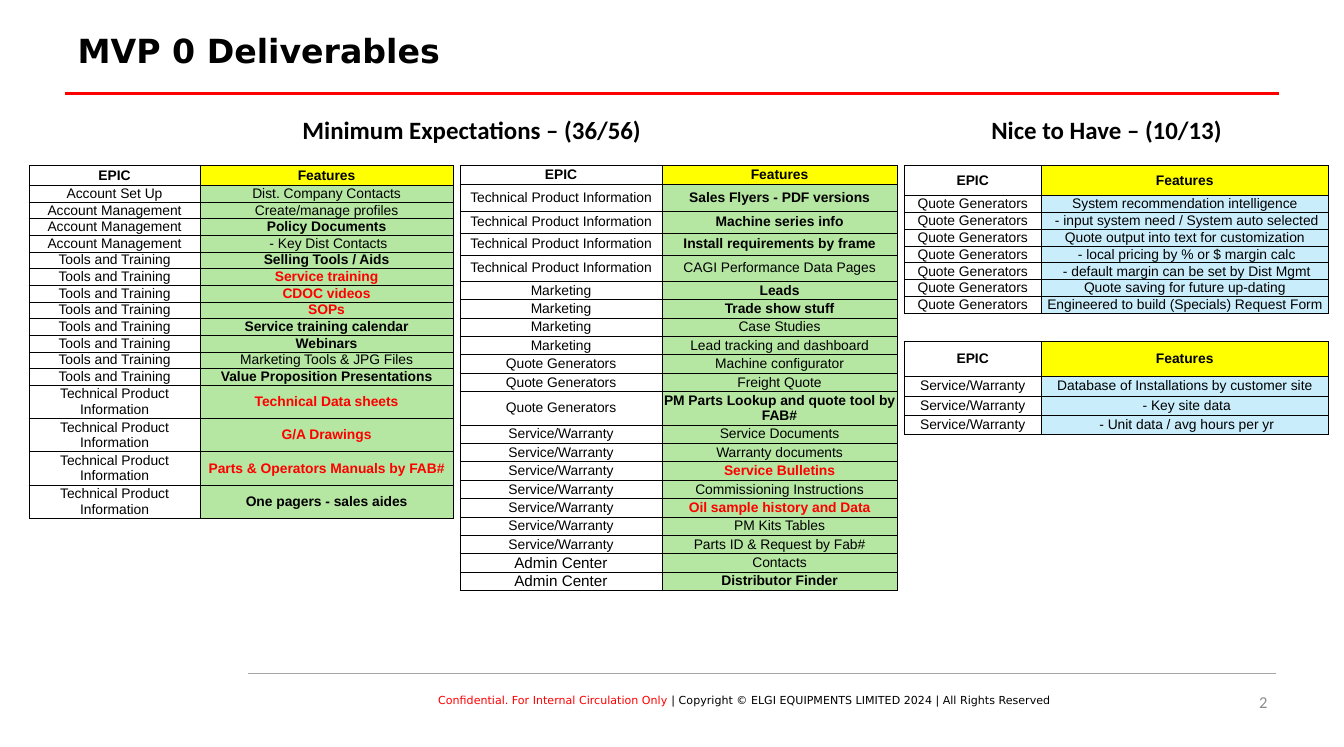
import pptx
import pptx.util
import pptx.dml.color
import pptx.enum.shapes
import pptx.enum.text
import pptx.oxml
import pptx.oxml.ns
import lxml.etree

PX = 4572  # EMU per px, 200 px to the inch
ALIGN = pptx.enum.text.PP_ALIGN
MIDDLE = pptx.enum.text.MSO_ANCHOR.MIDDLE
THEME = {
    "black": "000000", "red": "FF0000", "grey": "A6A6A6", "number": "8C8C8C",
    "yellow": "FFFF00", "green": "B5E6A2", "blue": "CAEDFB",
    "title_font": "DejaVu Sans", "heading_font": "Calibri", "table_font": "Arial",
    "title": 24, "heading": 18, "page": 12, "admin": 11, "table": 10, "footer": 8,
}


def rgb(name):
    return pptx.dml.color.RGBColor.from_string(THEME[name])


def style(r, font, size, color="black", bold=False):
    r.font.name = THEME[font]
    r.font.size = pptx.util.Pt(THEME[size])
    r.font.color.rgb = rgb(color)
    r.font.bold = bold


prs = pptx.Presentation()
prs.slide_width, prs.slide_height = 2700 * PX, 1500 * PX
s = prs.slides.add_slide(prs.slide_layouts[5])

# Title
sp = s.shapes.title
sp.left, sp.top, sp.width, sp.height = 136 * PX, 60 * PX, 2344 * PX, 112 * PX
tf = sp.text_frame
tf.text = "MVP 0 Deliverables"
tf.auto_size = pptx.enum.text.MSO_AUTO_SIZE.NONE
tf.vertical_anchor = pptx.enum.text.MSO_ANCHOR.TOP
p = tf.paragraphs[0]
p.alignment = ALIGN.LEFT
p.line_spacing = 0.9
style(p.runs[0], "title_font", "title", bold=True)

# Rules under the title and above the footer
for x1, x2, y, color, weight in [(130, 2570, 187, "red", 2.25), (498, 2564, 1352, "grey", 0.5)]:
    rule = s.shapes.add_connector(pptx.enum.shapes.MSO_CONNECTOR.STRAIGHT,
                                  x1 * PX, y * PX, x2 * PX, y * PX)
    rule.line.color.rgb = rgb(color)
    rule.line.width = pptx.util.Pt(weight)
    lxml.etree.SubElement(rule._element.spPr, pptx.oxml.ns.qn("a:effectLst"))

# Section headings
for x, width, text in [(588, 726, "Minimum Expectations – (36/56)"),
                       (1972, 508, "Nice to Have – (10/13)")]:
    sp = s.shapes.add_textbox(x * PX, 220 * PX, width * PX, 80 * PX)
    tf = sp.text_frame
    tf.text = text
    tf.word_wrap = False
    style(tf.paragraphs[0].runs[0], "heading_font", "heading", bold=True)

# Features by epic; a leading * is bold, a leading ! is bold red
setup = [
    ("Account Set Up", ["Dist. Company Contacts"]),
    ("Account Management", ["Create/manage profiles", "*Policy Documents", " - Key Dist Contacts"]),
    ("Tools and Training", [
        "*Selling Tools / Aids", "!Service training", "!CDOC videos", "!SOPs",
        "*Service training calendar", "*Webinars", "Marketing Tools & JPG Files",
        "*Value Proposition Presentations"]),
    ("Technical Product Information", [
        "!Technical Data sheets", "!G/A Drawings", "!Parts & Operators Manuals by FAB#",
        "*One pagers - sales aides"]),
]
product = [
    ("Technical Product Information", [
        "*Sales Flyers - PDF versions", "*Machine series info", "*Install requirements by frame",
        "CAGI Performance Data Pages"]),
    ("Marketing", ["*Leads", "*Trade show stuff", "Case Studies", "Lead tracking and dashboard"]),
    ("Quote Generators", [
        "Machine configurator", "Freight Quote", "*PM Parts Lookup and quote tool by FAB#"]),
    ("Service/Warranty", [
        "Service Documents", "Warranty documents", "!Service Bulletins",
        "Commissioning Instructions", "!Oil sample history and Data", "PM Kits Tables",
        "Parts ID & Request by Fab#"]),
    ("Admin Center", ["Contacts", "*Distributor Finder"]),
]
warranty = [
    ("Service/Warranty", [
        "Database of Installations by customer site", " - Key site data",
        " - Unit data / avg hours per yr"]),
]
quotes = [
    ("Quote Generators", [
        "System recommendation intelligence", " - input system need / System auto selected",
        "Quote output into text for customization", " - local pricing by % or $ margin calc",
        " - default margin can be set by Dist Mgmt", "Quote saving for future up-dating",
        "Engineered to build (Specials) Request Form"]),
]

# Tables: left, top, column widths, row heights, feature fill, content
tables = [
    (58, 332, (344, 508), [40] + [24] * 12 + [44] * 4, "green", setup),
    (924, 332, (406, 472), [38, 54, 44, 44, 53] + [37] * 16, "green", product),
    (1816, 686, (276, 576), [70] + [39] * 3, "blue", warranty),
    (1816, 332, (276, 576), [60] + [34] * 7, "blue", quotes),
]
for x, y, widths, heights, fill, groups in tables:
    rows = [("*EPIC", "*Features")]
    rows += [(epic, feature) for epic, features in groups for feature in features]
    table = s.shapes.add_table(len(rows), 2, x * PX, y * PX,
                               sum(widths) * PX, sum(heights) * PX).table
    table.first_row = table.horz_banding = False
    for column, width in zip(table.columns, widths):
        column.width = width * PX
    for i, (row, height) in enumerate(zip(rows, heights)):
        table.rows[i].height = height * PX
        for j, text in enumerate(row):
            cell = table.cell(i, j)
            cell.margin_left = cell.margin_right = cell.margin_top = cell.margin_bottom = 0
            cell.vertical_anchor = MIDDLE
            cell.text = text.lstrip("*!")
            p = cell.text_frame.paragraphs[0]
            p.alignment = ALIGN.CENTER
            style(p.runs[0], "table_font", "admin" if text == "Admin Center" else "table",
                  "red" if text[0] == "!" else "black", text[0] in "*!")
            # Borders go before the fill
            for side in ("lnL", "lnR", "lnT", "lnB"):
                cell._tc.get_or_add_tcPr().append(pptx.oxml.parse_xml(
                    f'<a:{side} {pptx.oxml.ns.nsdecls("a")} w="6350"><a:solidFill>'
                    f'<a:srgbClr val="{THEME["black"]}"/></a:solidFill></a:{side}>'))
            if j == 0:
                cell.fill.background()
            else:
                cell.fill.solid()
                cell.fill.fore_color.rgb = rgb("yellow" if i == 0 else fill)

# Footer
sp = s.shapes.add_textbox(500 * PX, 1392 * PX, 1992 * PX, 54 * PX)
tf = sp.text_frame
tf.word_wrap = True
tf.margin_left = tf.margin_right = tf.margin_top = tf.margin_bottom = 0
p = tf.paragraphs[0]
p.alignment = ALIGN.CENTER
for text, color in [("Conﬁdential. For Internal Circulation Only ", "red"),
                    ("| Copyright © ELGI EQUIPMENTS LIMITED 2024 | All Rights Reserved", "black")]:
    r = p.add_run()
    r.text = text
    style(r, "title_font", "footer", color)

# Page number
sp = s.shapes.add_textbox(1958 * PX, 1370 * PX, 608 * PX, 80 * PX)
tf = sp.text_frame
tf.text = "2"
tf.word_wrap = True
tf.vertical_anchor = MIDDLE
p = tf.paragraphs[0]
p.alignment = ALIGN.RIGHT
style(p.runs[0], "heading_font", "page", "number")

prs.save("out.pptx")
